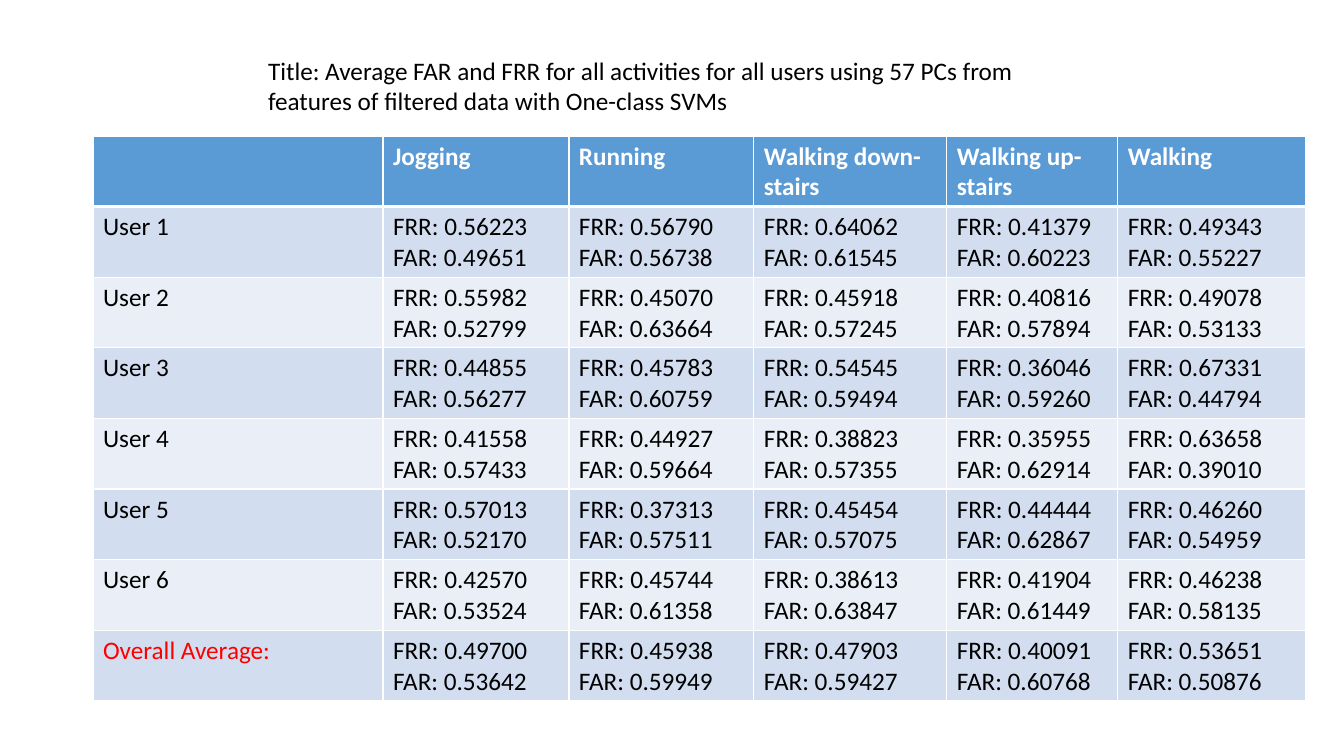
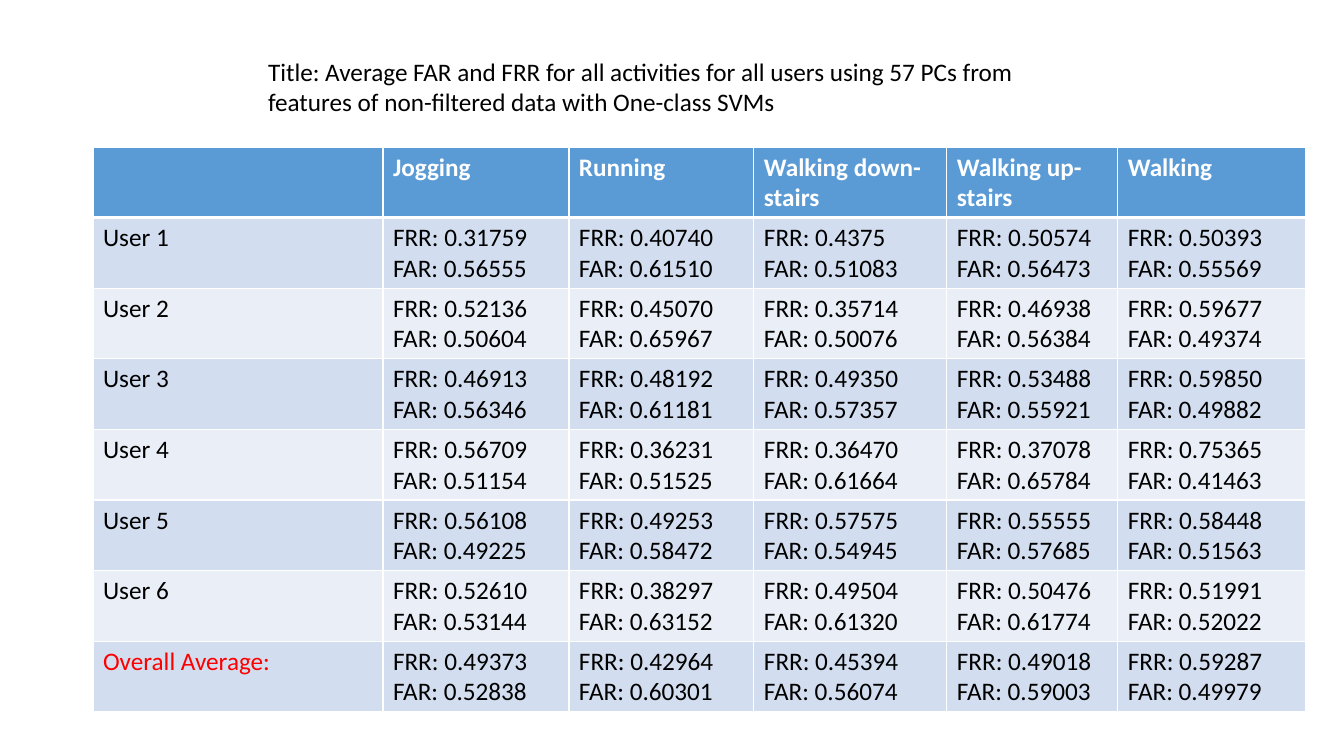
from lxml.etree import SubElement
from pptx import Presentation
from pptx.dml.color import RGBColor
from pptx.enum.text import MSO_ANCHOR, MSO_AUTO_SIZE, PP_ALIGN
from pptx.oxml.ns import qn
from pptx.util import Emu, Pt

# Shared look
FONT = "Calibri"
TEXT_SIZE = 18
BLACK = RGBColor(0x00, 0x00, 0x00)
WHITE = RGBColor(0xFF, 0xFF, 0xFF)
RED = RGBColor(0xFF, 0x00, 0x00)
HEADER_BLUE = RGBColor(0x5B, 0x9B, 0xD5)
BANDS = (RGBColor(0xD2, 0xDE, 0xEF), RGBColor(0xEA, 0xEF, 0xF7))
THIN, THICK = 1, 3

# Layout in pixels
SCALE = 914400 / 100.8
SLIDE_WIDTH, SLIDE_HEIGHT = 1344, 756
TITLE_LEFT, TITLE_WIDTH, TITLE_HEIGHT = 258, 820, 71
TABLE_LEFT, ROW_HEIGHT = 93, 70
COLUMN_WIDTHS = (290, 186, 185, 193, 171, 188)

# Content
TITLE = ("Title: Average FAR and FRR for all activities for all users "
         "using 57 PCs from features of {} data with One-class SVMs")
ACTIVITIES = ("", "Jogging", "Running", "Walking down-stairs",
              "Walking up-stairs", "Walking")
AVERAGE = "Overall Average:"
ROW_NAMES = [f"User {number}" for number in range(1, 7)] + [AVERAGE]

# One line per row name, one FRR/FAR pair per activity
FILTERED = """
0.56223/0.49651 0.56790/0.56738 0.64062/0.61545 0.41379/0.60223 0.49343/0.55227
0.55982/0.52799 0.45070/0.63664 0.45918/0.57245 0.40816/0.57894 0.49078/0.53133
0.44855/0.56277 0.45783/0.60759 0.54545/0.59494 0.36046/0.59260 0.67331/0.44794
0.41558/0.57433 0.44927/0.59664 0.38823/0.57355 0.35955/0.62914 0.63658/0.39010
0.57013/0.52170 0.37313/0.57511 0.45454/0.57075 0.44444/0.62867 0.46260/0.54959
0.42570/0.53524 0.45744/0.61358 0.38613/0.63847 0.41904/0.61449 0.46238/0.58135
0.49700/0.53642 0.45938/0.59949 0.47903/0.59427 0.40091/0.60768 0.53651/0.50876
"""
NON_FILTERED = """
0.31759/0.56555 0.40740/0.61510 0.4375/0.51083 0.50574/0.56473 0.50393/0.55569
0.52136/0.50604 0.45070/0.65967 0.35714/0.50076 0.46938/0.56384 0.59677/0.49374
0.46913/0.56346 0.48192/0.61181 0.49350/0.57357 0.53488/0.55921 0.59850/0.49882
0.56709/0.51154 0.36231/0.51525 0.36470/0.61664 0.37078/0.65784 0.75365/0.41463
0.56108/0.49225 0.49253/0.58472 0.57575/0.54945 0.55555/0.57685 0.58448/0.51563
0.52610/0.53144 0.38297/0.63152 0.49504/0.61320 0.50476/0.61774 0.51991/0.52022
0.49373/0.52838 0.42964/0.60301 0.45394/0.56074 0.49018/0.59003 0.59287/0.49979
"""


def px(length):
    return Emu(round(length * SCALE))


def write(frame, text, color, bold=False):
    frame.text = text
    for para in frame.paragraphs:
        para.alignment = PP_ALIGN.LEFT
        for span in para.runs:
            span.font.name = FONT
            span.font.size = Pt(TEXT_SIZE)
            span.font.bold = bold
            span.font.color.rgb = color


def add_title(page, text, top):
    box = page.shapes.title
    box.left, box.top = px(TITLE_LEFT), px(top)
    box.width, box.height = px(TITLE_WIDTH), px(TITLE_HEIGHT)
    frame = box.text_frame
    write(frame, text, BLACK)
    frame.word_wrap = True
    frame.vertical_anchor = MSO_ANCHOR.TOP
    frame.auto_size = MSO_AUTO_SIZE.SHAPE_TO_FIT_TEXT


def add_borders(cell, top, bottom):
    properties = cell._tc.get_or_add_tcPr()
    sides = {"a:lnL": THIN, "a:lnR": THIN, "a:lnT": top, "a:lnB": bottom}
    for side, width in sides.items():
        line = SubElement(properties, qn(side), w=str(Pt(width)))
        fill = SubElement(line, qn("a:solidFill"))
        SubElement(fill, qn("a:srgbClr"), val=str(WHITE))


def table_rows(data):
    rows = [ACTIVITIES]
    for name, line in zip(ROW_NAMES, data.strip().splitlines()):
        pairs = [pair.split("/") for pair in line.split()]
        rows.append([name] + [f"FRR: {frr}\nFAR: {far}" for frr, far in pairs])
    return rows


def add_rates_table(page, data, top):
    rows = table_rows(data)
    table = page.shapes.add_table(
        len(rows), len(COLUMN_WIDTHS), px(TABLE_LEFT), px(top),
        px(sum(COLUMN_WIDTHS)), px(ROW_HEIGHT * len(rows))).table
    for column, width in zip(table.columns, COLUMN_WIDTHS):
        column.width = px(width)
    for row_index, texts in enumerate(rows):
        header = row_index == 0
        for column_index, text in enumerate(texts):
            cell = table.cell(row_index, column_index)
            color = WHITE if header else RED if text == AVERAGE else BLACK
            write(cell.text_frame, text, color, bold=header)
            add_borders(cell, top=THICK if row_index == 1 else THIN,
                        bottom=THICK if header else THIN)
            cell.fill.solid()
            cell.fill.fore_color.rgb = (
                HEADER_BLUE if header else BANDS[(row_index - 1) % 2])


def add_rates_page(deck, kind, data, title_top, table_top):
    page = deck.slides.add_slide(deck.slide_layouts.get_by_name("Title Only"))
    add_title(page, TITLE.format(kind), title_top)
    add_rates_table(page, data, table_top)


def main():
    deck = Presentation()
    deck.slide_width, deck.slide_height = px(SLIDE_WIDTH), px(SLIDE_HEIGHT)
    add_rates_page(deck, "filtered", FILTERED, title_top=50, table_top=136)
    add_rates_page(deck, "non-filtered", NON_FILTERED,
                   title_top=51, table_top=147)
    deck.save("out.pptx")


main()
